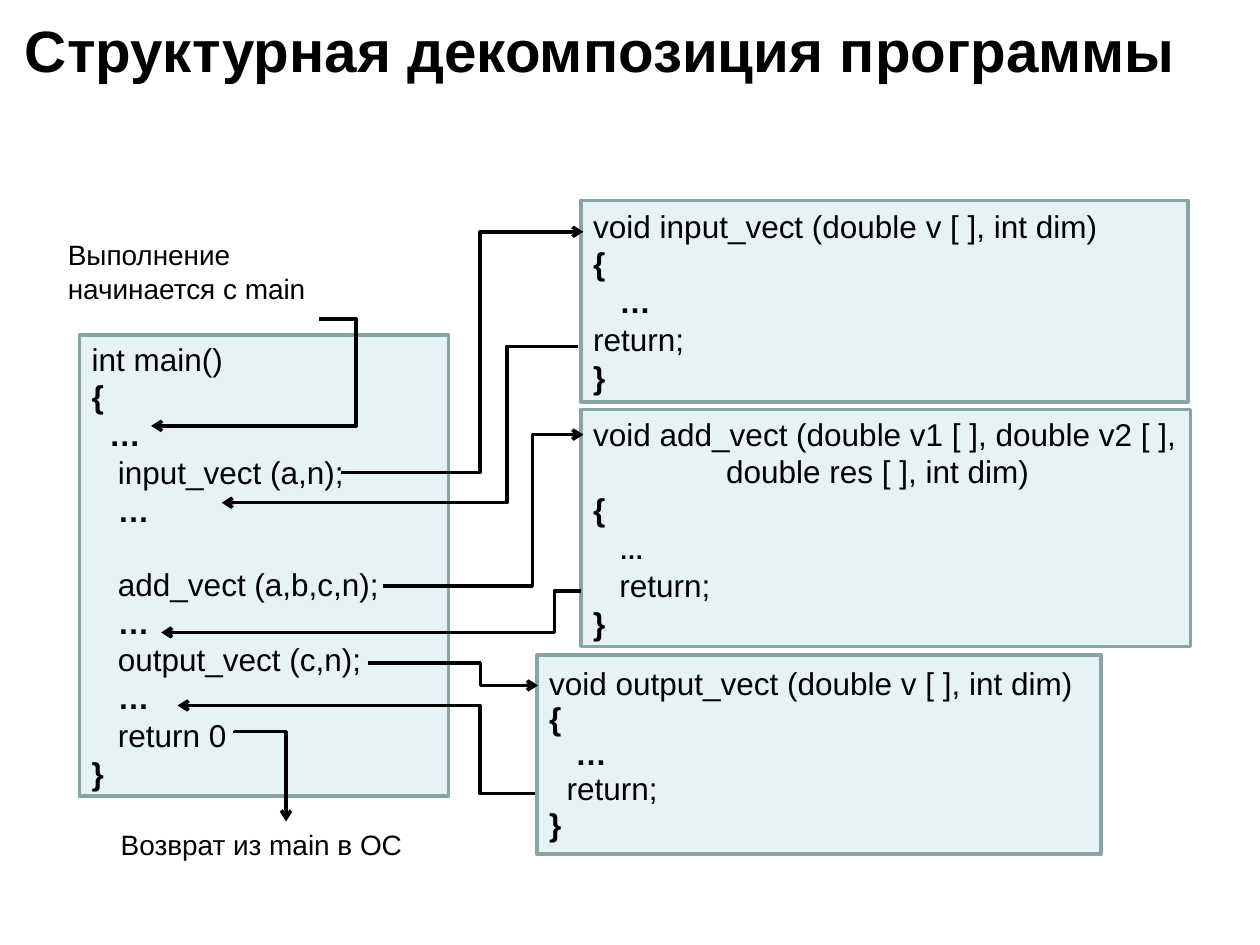
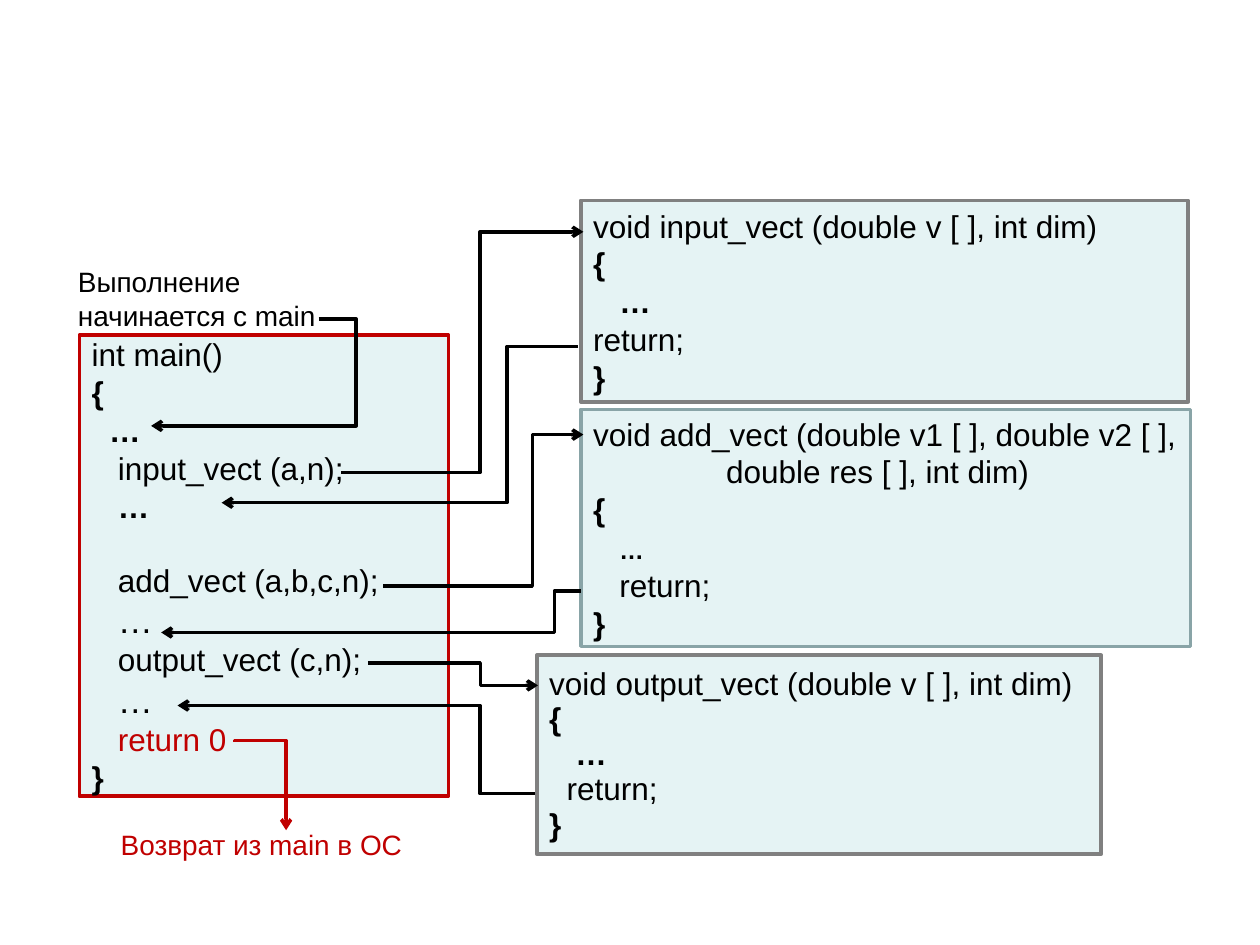
"""Build two slides that trace the calls main makes to three vector functions."""
from lxml.etree import SubElement as Sub
from pptx import Presentation
from pptx.dml.color import RGBColor as RGB
from pptx.enum.shapes import MSO_CONNECTOR as Link, MSO_SHAPE as Shape
from pptx.enum.text import MSO_ANCHOR as Anchor, PP_ALIGN as Align
from pptx.oxml.ns import qn
from pptx.util import Inches, Pt

HUE = {"ink": "000000", "pale": "BBE0E3", "teal": "89A4A7", "gray": "808080", "red": "C00000"}

MAIN = ["int main()", "{", "  …", "   input_vect (a,n);", "   …", "   add_vect (a,b,c,n);", "   …",
        "   output_vect (c,n);", "   …", "   return 0", "}"]
INPUT = ["void input_vect (double v [ ], int dim)", "{", "   …", "return;", "}"]
ADD = ["void add_vect (double v1 [ ], double v2 [ ],", "\t        double res [ ], int dim)",
       "{", "   …", "   return;", "}"]
OUTPUT = ["void output_vect (double v [ ], int dim)", "{", "   …", "  return;", "}"]

BOXES = [
    ("main", MAIN, (0.63, 2.66, 2.93, 3.66)),
    ("input", INPUT, (4.61, 1.59, 4.82, 1.6)),
    ("add", ADD, (4.61, 3.25, 4.84, 1.88)),
    ("output", OUTPUT, (4.26, 5.2, 4.48, 1.58)),
]
CALLS = [
    (2.71, 3.75, 4.63, 1.84, 57.3),
    (4.59, 2.75, 1.76, 3.99, 20),
    (3.04, 4.65, 4.63, 3.45, 74.5),
    (4.61, 4.69, 1.28, 5.02, 6.3),
    (2.92, 5.26, 4.27, 5.44, 66.1),
    (4.25, 6.3, 1.41, 5.6, 15.5),
    (2.53, 2.53, 1.2, 3.38, -22.3),
]
SMALL = {("add", 3): (14, True, "ink")}
SLIDES = [
    {"title": "Структурная декомпозиция программы", "start": (0.44, 1.84), "drop": 0, "exit": "ink",
     "edge": {}, "odd": SMALL},
    {"title": None, "start": (0.52, 2.05), "drop": 0.07, "exit": "red",
     "edge": {"main": "red", "input": "gray", "output": "gray"},
     "odd": SMALL | {("main", 6): (20, False, "ink"), ("main", 8): (20, False, "ink"),
                     ("main", 9): (18, False, "red")}},
]


def label(slide, text, place, size, hue="ink", bold=False):
    box = slide.shapes.add_textbox(*map(Inches, place))
    box.text_frame.word_wrap = True
    para = box.text_frame.paragraphs[0]
    para.text = text
    font = para.font
    font.name, font.size, font.bold = "Arial", Pt(size), bold
    font.color.rgb = RGB.from_string(HUE[hue])


def arrow(slide, ends, bend, hue="ink", turn=0):
    link = slide.shapes.add_connector(Link.ELBOW, *map(Inches, ends))
    link.line.width = Pt(2)
    link.line.color.rgb = RGB.from_string(HUE[hue])
    Sub(link.line._get_or_add_ln(), qn("a:tailEnd"), type="arrow")
    props = link._element.spPr
    Sub(props, qn("a:effectLst"))
    if turn:
        props.find(qn("a:xfrm")).set("rot", str(turn * 60000))
    geom = props.find(qn("a:prstGeom"))
    guides = geom.find(qn("a:avLst"))
    Sub(guides, qn("a:gd"), name="adj1", fmla=f"val {round(bend * 1000)}")


deck = Presentation()
deck.slide_width, deck.slide_height = Inches(10), Inches(7.5)

for look in SLIDES:
    slide = deck.slides.add_slide(deck.slide_layouts[6])
    if look["title"]:
        label(slide, look["title"], (0.1, 0.06, 9.9, 0.72), 33.3, bold=True)

    for name, code, place in BOXES:
        box = slide.shapes.add_shape(Shape.RECTANGLE, *map(Inches, place))
        box.shadow.inherit = False
        box.fill.solid()
        box.fill.fore_color.rgb = RGB.from_string(HUE["pale"])
        tint = box._element.spPr.find(qn("a:solidFill"))[0]
        Sub(tint, qn("a:alpha"), val="37000")
        box.line.width = Pt(2)
        box.line.color.rgb = RGB.from_string(HUE[look["edge"].get(name, "teal")])
        frame = box.text_frame
        frame.word_wrap = True
        frame.vertical_anchor = Anchor.MIDDLE
        for row, line in enumerate(code):
            para = frame.add_paragraph() if row else frame.paragraphs[0]
            para.alignment = Align.LEFT
            if name == "output":
                para.line_spacing = Pt(20)
            if name == "main" and "add_vect" in line:
                para.space_before = Pt(20.7)
            word = line.lstrip()
            plain = (18, word in "{…}", "ink")
            size, bold, hue = look["odd"].get((name, row), plain)
            font = para.font
            font.name, font.size, font.bold = "Arial", Pt(18), bold
            font.color.rgb = RGB.from_string(HUE[hue])
            if word != line:
                para.add_run().text = line[:-len(word)]
            run = para.add_run()
            run.text = word
            if size != 18:
                run.font.size = Pt(size)

    label(slide, "Выполнение начинается с main", (*look["start"], 2.51, 0.64), 16)
    label(slide, "Возврат из main в ОС", (0.86, 6.52, 2.81, 0.37), 16, look["exit"])
    for *ends, bend in CALLS:
        arrow(slide, ends, bend)
    drop = look["drop"]
    arrow(slide, (2.42, 5.96 + drop, 1.71, 6.37 + drop), -0.4, look["exit"], 270)

deck.save("out.pptx")
